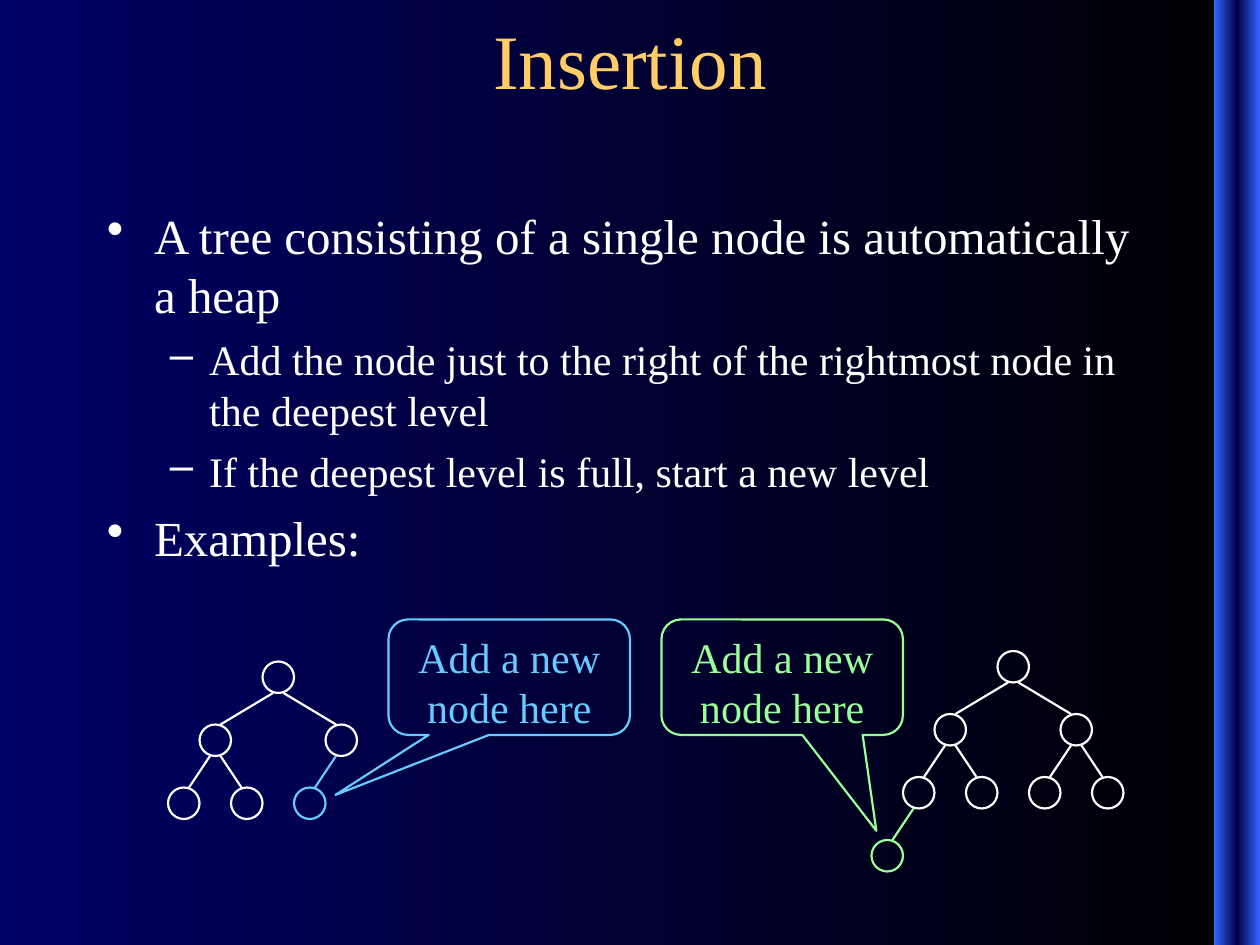
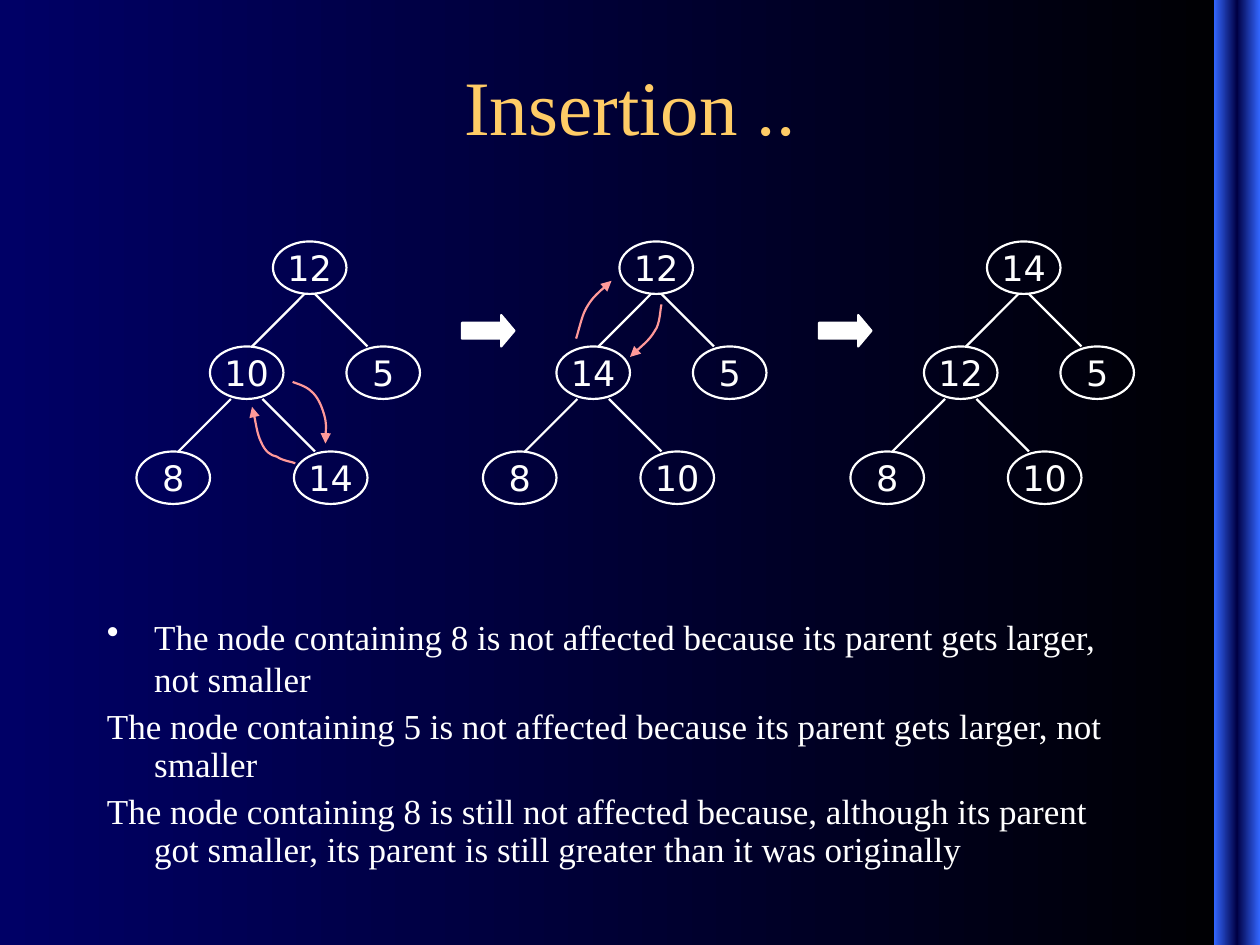
import copy

import pptx
import pptx.dml.color
import pptx.enum.dml
import pptx.enum.shapes
import pptx.enum.text
import pptx.oxml
import pptx.oxml.ns
import pptx.util

PX = 9525
SERIF, SANS = "Times New Roman", "DejaVu Sans"
WHITE, GOLD, SKY, MINT, ROSE = "FFFFFF", "FFCC66", "66CCFF", "99FF99", "FF9999"
BLACK, NAVY, BLUE, DEEP = "000000", "000066", "3366FF", "000044"

KIND = pptx.enum.shapes.MSO_SHAPE
ALIGN = pptx.enum.text.PP_ALIGN
ANCHOR = pptx.enum.text.MSO_ANCHOR
Pt = pptx.util.Pt
qn = pptx.oxml.ns.qn

# Trees list their nodes in heap order: the parent of node i is (i - 1) // 2.
# A join holds the x offsets of an edge on the parent and on the child.
SMALL = {
    "size": (24, 24),
    "spots": [(72, 0), (24, 48), (120, 48), (0, 96), (48, 96), (96, 96),
              (144, 96), (-24, 144)],
    "joins": [(8, 16), (16, 8)] * 4,
}
LARGE = {
    "size": (56, 40),
    "spots": [(104, 0), (56, 80), (160, 80), (0, 160), (120, 160)],
    "joins": [(24, 32), (32, 16), (16, 32), (40, 16)],
}

# Level, indent, hanging, size, space before, bullet, line spacing
MAIN = (0, 36, 28, 7, "•", None)
SUB = (1, 78, 24, 6, "–", None)
NOTE = (0, 36, 20, 5, "•", None)
PLAIN = (0, 36, 20, 5, None, 0.9)


def rgb(tint):
    return pptx.dml.color.RGBColor.from_string(tint)


def px(*nums):
    return [pptx.util.Emu(num * PX) for num in nums]


def put(item, **vals):
    for name, val in vals.items():
        setattr(item, name, val)


def ink(font, face, size, tint):
    put(font, name=face, size=Pt(size))
    font.color.rgb = rgb(tint)


def bare(item, tint):
    """Give a shape or connector a thin line and no shadow."""
    item.line.color.rgb = rgb(tint)
    item.line.width = Pt(1.25)
    props = item._element.spPr
    if props.find(qn("a:effectLst")) is None:
        pptx.oxml.ns.nsdecls("a")
        props.append(pptx.oxml.parse_xml(
            f"<a:effectLst {pptx.oxml.ns.nsdecls('a')}/>"))


def shape(shapes, kind, box, tint, fill=None):
    item = shapes.add_shape(kind, *px(*box))
    bare(item, tint)
    if fill:
        item.fill.solid()
        item.fill.fore_color.rgb = rgb(fill)
    else:
        item.fill.background()
    return item


def label(item, text, face, size, tint, **frame):
    put(item.text_frame, **frame)
    para = item.text_frame.paragraphs[0]
    para.alignment = ALIGN.CENTER
    run = para.add_run()
    run.text = text
    ink(run.font, face, size, tint)


def blend(fill, root, tints):
    """Fill with evenly spaced gradient stops, running right to left."""
    fill.gradient()
    fill.gradient_angle = 180
    stops = root.find(".//" + qn("a:gsLst"))
    while len(stops) < len(tints):
        stops.append(copy.deepcopy(stops[0]))
    for num, (stop, tint) in enumerate(zip(fill.gradient_stops, tints)):
        stop.color.rgb = rgb(tint)
        stop.position = num / (len(tints) - 1)


def theme(deck, slide):
    """Put the background and the side band on the master."""
    master = deck.slide_master
    blend(master.background.fill, master.element, [BLACK, NAVY])
    band = slide.shapes.add_shape(KIND.RECTANGLE, *px(925, 0, 35, 720))
    band.shadow.inherit = False
    band.line.fill.background()
    blend(band.fill, band._element, [BLUE, DEEP, BLUE])
    band._element.nvSpPr.cNvPr.set("id", "20")
    master.shapes._spTree.append(band._element)


def page(deck, text, top):
    slide = deck.slides.add_slide(deck.slide_layouts[5])
    title = slide.shapes.title
    left, top, width, height = px(32, top, 896, 80)
    put(title, left=left, top=top, width=width, height=height)
    label(title, text, SERIF, 44, GOLD, word_wrap=True,
          vertical_anchor=ANCHOR.MIDDLE,
          auto_size=pptx.enum.text.MSO_AUTO_SIZE.NONE)
    return slide


def body(slide, box, lines):
    frame = slide.shapes.add_textbox(*px(*box)).text_frame
    frame.word_wrap = True
    for num, (style, text) in enumerate(lines):
        level, left, size, before, mark, gap = style
        para = frame.add_paragraph() if num else frame.paragraphs[0]
        put(para, level=level, space_before=Pt(before), line_spacing=gap)
        run = para.add_run()
        run.text = text
        ink(run.font, SERIF, size, WHITE)
        props = para._p.get_or_add_pPr()
        hang = 30 if level else left
        props.set("marL", str(left * PX))
        props.set("indent", str(-hang * PX))
        if mark:
            space = pptx.oxml.ns.nsdecls("a")
            for xml in (f'<a:buClr {space}><a:srgbClr val="{WHITE}"/></a:buClr>',
                        f'<a:buChar {space} char="{mark}"/>'):
                props.append(pptx.oxml.parse_xml(xml))


def tree(slide, x, y, form, labels, tints=None):
    """Draw one node for each label; tints maps a node to its colour."""
    shapes = slide.shapes.add_group_shape().shapes
    wide, high = form["size"]
    spots = [(x + dx, y + dy) for dx, dy in form["spots"]]
    for i, text in enumerate(labels):
        left, top = spots[i]
        tint = (tints or {}).get(i, WHITE)
        node = shape(shapes, KIND.OVAL, (left, top, wide, high), tint)
        if text:
            label(node, text, SANS, 20, tint, word_wrap=False,
                  vertical_anchor=ANCHOR.MIDDLE)
        if i:
            over, under = form["joins"][i - 1]
            up, base = spots[(i - 1) // 2]
            edge = shapes.add_connector(
                pptx.enum.shapes.MSO_CONNECTOR.STRAIGHT,
                *px(up + over, base + high, left + under, top))
            bare(edge, tint)


def callout(slide, x, y, tint, tip):
    item = shape(slide.shapes, KIND.ROUNDED_RECTANGULAR_CALLOUT,
                 (x, y, 184, 88), tint)
    for num, val in enumerate((*tip, 0.17)):
        item.adjustments[num] = val
    label(item, "Add a new node here", SERIF, 24, tint, word_wrap=True,
          vertical_anchor=ANCHOR.TOP)


def curve(slide, x, y, points):
    """Draw a curved arrow: a start, then three points for each Bézier part."""
    first, *rest = [(x + dx, y + dy) for dx, dy in points]
    pen = slide.shapes.build_freeform(*first, scale=PX)
    pen.add_line_segments(rest, close=False)
    item = pen.convert_to_shape()
    item.fill.background()
    bare(item, ROSE)
    space = pptx.oxml.ns.nsdecls("a")
    item.line._get_or_add_ln().append(
        pptx.oxml.parse_xml(f'<a:tailEnd {space} type="triangle"/>'))
    track = item._element.find(".//" + qn("a:path"))
    steps = track.findall(qn("a:lnTo"))
    for num in range(0, len(steps), 3):
        bend = pptx.oxml.parse_xml(f"<a:cubicBezTo {space}/>")
        for step in steps[num:num + 3]:
            bend.append(step[0])
            track.remove(step)
        track.append(bend)


def rules(slide):
    body(slide, (72, 152, 824, 383), [
        (MAIN, "A tree consisting of a single node is automatically a heap"),
        (SUB, "Add the node just to the right of the rightmost node in "
              "the deepest level"),
        (SUB, "If the deepest level is full, start a new level"),
        (MAIN, "Examples:"),
    ])
    tree(slide, 688, 496, SMALL, [""] * 8, {7: MINT})
    tree(slide, 128, 504, SMALL, [""] * 6, {5: SKY})
    callout(slide, 296, 472, SKY, (-0.72, 1.02))
    callout(slide, 504, 472, MINT, (0.39, 1.33))


def swaps(slide):
    body(slide, (72, 464, 784, 78), [
        (NOTE, "The node containing 8 is not affected because its parent "
               "gets larger, not smaller"),
    ])
    body(slide, (72, 536, 800, 136), [
        (PLAIN, "The node containing 5 is not affected because its parent "
                "gets larger, not smaller"),
        (PLAIN, "The node containing 8 is still not affected because, "
                "although its parent got smaller, its parent is still "
                "greater than it was originally"),
    ])
    top = 184
    stages = [
        (104, "12 10 5 8 14", [
            [(121, 169), (119, 168), (111, 167), (107, 164), (102, 163),
             (98, 160), (95, 153), (92, 147), (90, 132), (88, 126)],
            [(119, 107), (121, 108), (129, 110), (133, 114), (138, 118),
             (141, 125), (143, 132), (145, 139), (144, 149), (144, 154)]]),
        (368, "12 14 5 8 10", [
            [(71, 74), (72, 71), (74, 63), (76, 57), (78, 51),
             (82, 45), (86, 41), (90, 37), (96, 32), (98, 30)],
            [(136, 48), (135, 51), (135, 63), (131, 68), (127, 75),
             (116, 84), (112, 88)]]),
        (648, "14 12 5 8 10", []),
    ]
    for left, keys, curves in stages:
        tree(slide, left, top, LARGE, keys.split())
        for points in curves:
            curve(slide, left, top, points)
    for left in (352, 624):
        arrow = shape(slide.shapes, KIND.RIGHT_ARROW,
                      (left, top + 56, 40, 24), WHITE, WHITE)
        arrow.adjustments[1] = 0.42


def main():
    deck = pptx.Presentation()
    put(deck, slide_width=px(960)[0], slide_height=px(720)[0])
    first = page(deck, "Insertion", 5)
    theme(deck, first)
    rules(first)
    swaps(page(deck, "Insertion ..", 40))
    deck.save("out.pptx")


if __name__ == "__main__":
    main()
